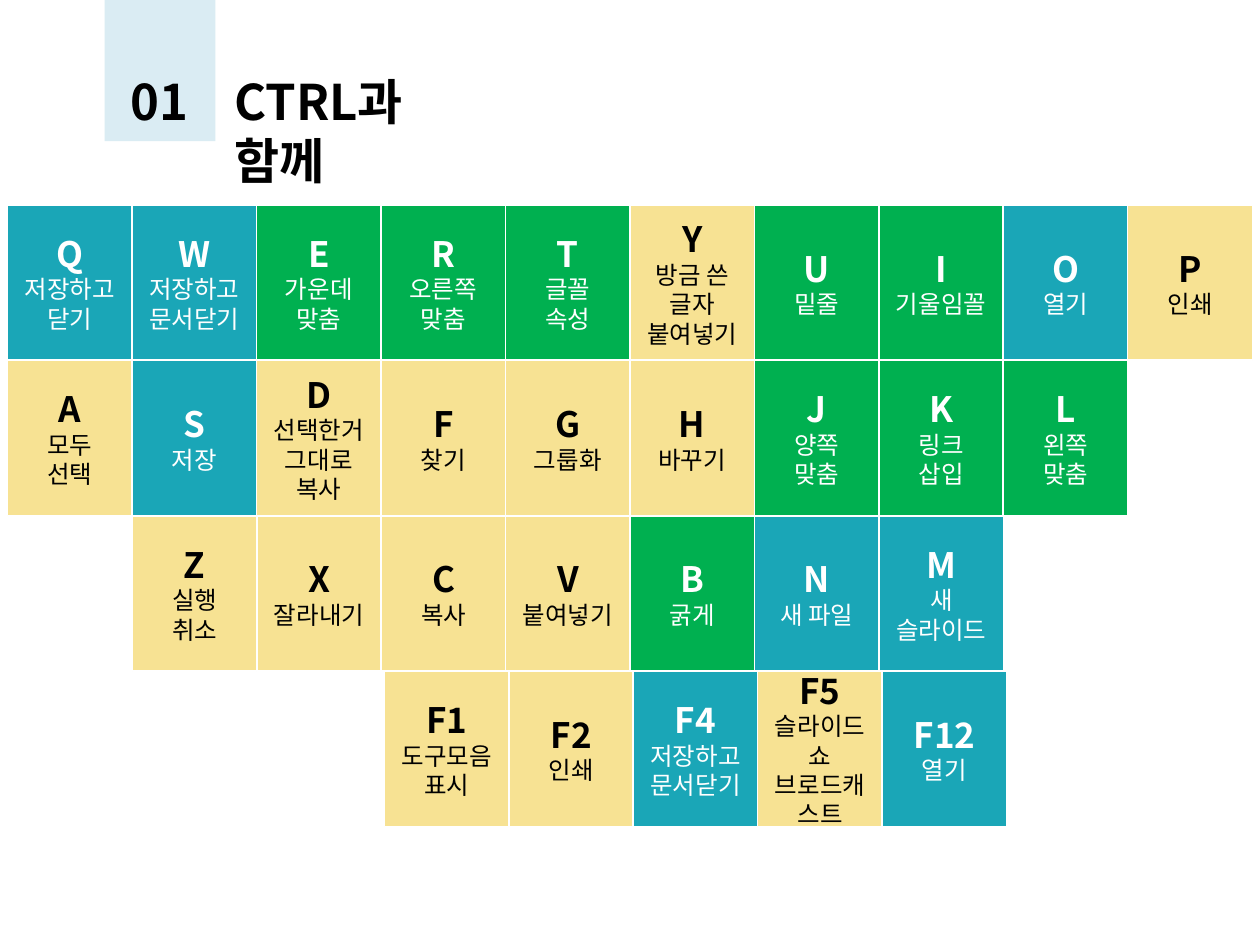
from pptx import Presentation
from pptx.dml.color import RGBColor
from pptx.enum.shapes import MSO_SHAPE
from pptx.enum.text import MSO_ANCHOR, MSO_AUTO_SIZE, PP_ALIGN
from pptx.oxml.ns import qn
from pptx.util import Inches, Pt
from lxml import etree

RECT = MSO_SHAPE.RECTANGLE
TOP, MIDDLE = MSO_ANCHOR.TOP, MSO_ANCHOR.MIDDLE
LEFT, CENTER = PP_ALIGN.LEFT, PP_ALIGN.CENTER
NO_FIT = MSO_AUTO_SIZE.NONE

FONT = "Noto Sans CJK KR"
COLORS = {"file": "1AA6B7", "format": "00B050", "edit": "F7E293",
          "tab": "DAECF3", "white": "FFFFFF", "black": "000000"}
HEADING = {"size": Pt(28), "bold": True}
KEY = {"size": Pt(20), "bold": True}
LABEL = {"size": Pt(14), "bold": False}


class Deck:
    def __init__(self, prs):
        self.prs = prs
        self.s = prs.slides.add_slide(prs.slide_layouts[5])

    def color(self, name):
        return RGBColor.from_string(COLORS[name])

    def fill_text(self, tf, lines, color, align, anchor):
        """Set (text, format) pairs, one paragraph each."""
        tf.word_wrap = True
        tf.auto_size = NO_FIT
        tf.vertical_anchor = anchor
        for i, (text, fmt) in enumerate(lines):
            p = tf.add_paragraph() if i else tf.paragraphs[0]
            p.alignment = align
            r = p.add_run()
            r.text = text
            for name, value in {"name": FONT, **fmt}.items():
                setattr(r.font, name, value)
            r.font.color.rgb = self.color(color)
            # Korean glyphs take the East Asian typeface
            etree.SubElement(r.font._element, qn("a:ea"), typeface=FONT)

    def box(self, x, y, w, h, fill, line=None):
        sp = self.s.shapes.add_shape(RECT, Inches(x), Inches(y), Inches(w), Inches(h))
        sp.shadow.inherit = False
        sp.fill.solid()
        sp.fill.fore_color.rgb = self.color(fill)
        if line:
            sp.line.color.rgb = self.color(line)
            sp.line.width = Pt(0.85)
        else:
            sp.line.fill.background()
        return sp

    def key(self, x, y, kind, name, label):
        sp = self.box(x, y, 0.99, 1.23, kind, "white")
        lines = [(name, KEY)] + [(text, LABEL) for text in label.split("\n")]
        color = "black" if kind == "edit" else "white"
        self.fill_text(sp.text_frame, lines, color, CENTER, MIDDLE)

    def text(self, x, y, w, h, text):
        sp = self.s.shapes.add_textbox(Inches(x), Inches(y), Inches(w), Inches(h))
        self.fill_text(sp.text_frame, [(text, HEADING)], "black", LEFT, TOP)

    def title(self, x, y, w, h, text):
        sp = self.s.shapes.title
        sp.left, sp.top, sp.width, sp.height = map(Inches, (x, y, w, h))
        self.fill_text(sp.text_frame, [(text, HEADING)], "black", LEFT, TOP)


# Keyboard rows: left edge of the first key, then its keys
COL = (8.95 - 0.06) / 9
ROW = (5.33 - 1.63) / 3
ROWS = [
    (0.06, [
        ("file", "Q", "저장하고 닫기"), ("file", "W", "저장하고 문서닫기"),
        ("format", "E", "가운데\n맞춤"), ("format", "R", "오른쪽\n맞춤"),
        ("format", "T", "글꼴\n속성"), ("edit", "Y", "방금 쓴\n글자\n붙여넣기"),
        ("format", "U", "밑줄"), ("format", "I", "기울임꼴"),
        ("file", "O", "열기"), ("edit", "P", "인쇄")]),
    (0.06, [
        ("edit", "A", "모두\n선택"), ("file", "S", "저장"),
        ("edit", "D", "선택한거\n그대로\n복사"), ("edit", "F", "찾기"),
        ("edit", "G", "그룹화"), ("edit", "H", "바꾸기"),
        ("format", "J", "양쪽\n맞춤"), ("format", "K", "링크\n삽입"),
        ("format", "L", "왼쪽\n맞춤")]),
    (1.05, [
        ("edit", "Z", "실행\n취소"), ("edit", "X", "잘라내기"),
        ("edit", "C", "복사"), ("edit", "V", "붙여넣기"),
        ("format", "B", "굵게"), ("file", "N", "새 파일"),
        ("file", "M", "새\n슬라이드")]),
    (3.05, [
        ("edit", "F1", "도구모음\n표시"), ("edit", "F2", "인쇄"),
        ("file", "F4", "저장하고\n문서닫기"),
        ("edit", "F5", "슬라이드 쇼 브로드캐스트"), ("file", "F12", "열기")]),
]

prs = Presentation()
prs.slide_width, prs.slide_height = Inches(10), Inches(7.5)
deck = Deck(prs)

# Keys
for i, (left, keys) in enumerate(ROWS):
    for j, key in enumerate(keys):
        deck.key(left + j * COL, 1.63 + i * ROW, *key)

# Numbered heading
deck.box(0.83, 0, 0.88, 1.12, "tab")
deck.text(0.94, 0.52, 0.66, 0.57, "01")
deck.title(1.76, 0.52, 2.28, 0.57, "CTRL과 함께")

prs.save("out.pptx")
